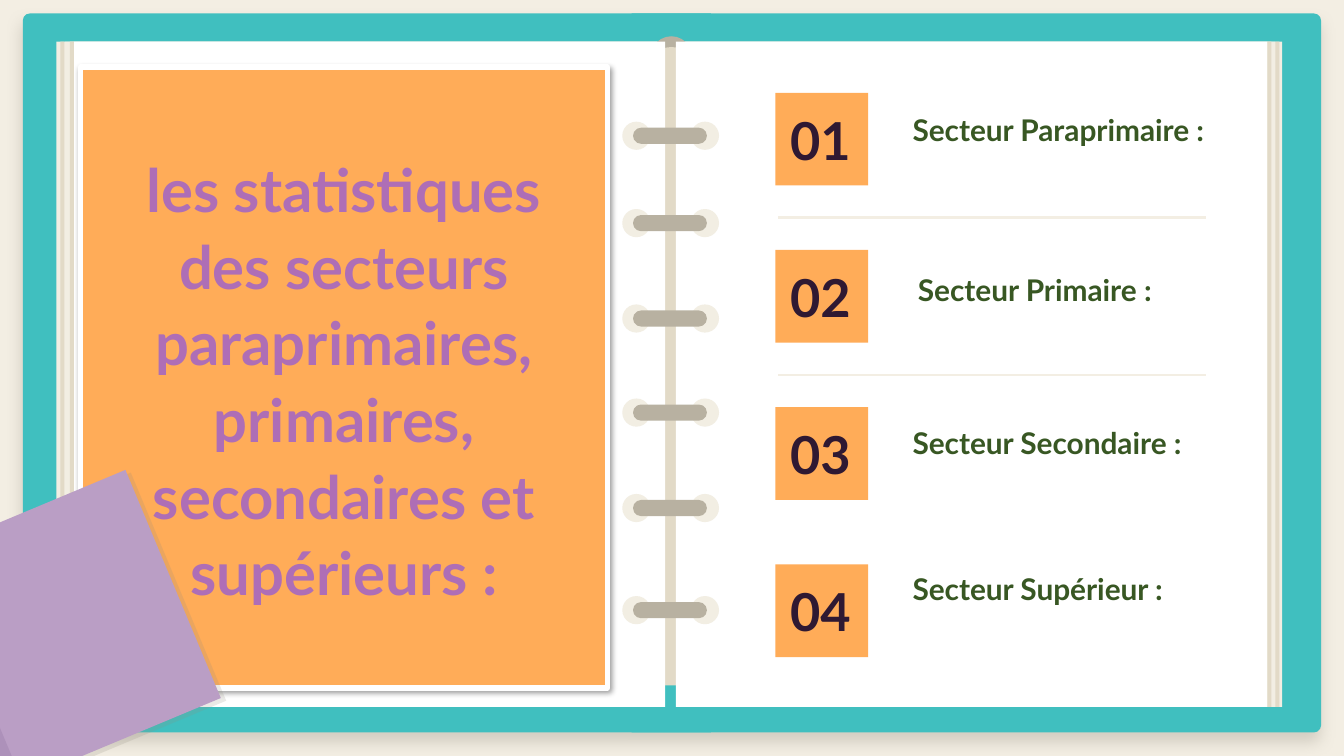
from dataclasses import dataclass

import pptx
import pptx.dml.color
import pptx.enum.shapes
import pptx.enum.text
import pptx.oxml
import pptx.oxml.ns
import pptx.util

Inches, Pt = pptx.util.Inches, pptx.util.Pt
SHAPE = pptx.enum.shapes.MSO_SHAPE
ALIGN = pptx.enum.text.PP_ALIGN
ANCHOR = pptx.enum.text.MSO_ANCHOR


@dataclass(frozen=True)
class Theme:
    font: str = "Lato"
    title_size: int = 32
    number_size: int = 28
    label_size: int = 16
    background: str = "F3EEE3"
    cover: str = "40BFBF"
    page: str = "FFFFFF"
    page_edge: str = "F2EEE3"
    spine: str = "E2DAC7"
    ring: str = "B8B1A1"
    shade: str = "918C7F"
    accent: str = "FFAC58"
    title: str = "AE6EB6"
    number: str = "2F1932"
    label: str = "385723"
    note: str = "BA9EC5"
    note_strip: str = "AD91BA"


THEME = Theme()

TITLE = ("les statistiques des secteurs paraprimaires, primaires, "
         "secondaires et supérieurs :")
# label, (left, top, width), line spacing
SECTORS = [
    ("Secteur Paraprimaire :", (6.69, 0.73, 2.63), 1.0),
    ("Secteur Primaire :", (6.73, 1.90, 2.24), 1.07),
    ("Secteur Secondaire :", (6.69, 3.04, 2.84), 1.07),
    ("Secteur Supérieur :", (6.69, 4.13, 2.24), 1.07),
]
RULES_AFTER = (0, 1)

PAGE_TOP, PAGE_HEIGHT = 0.31, 4.95
UNDER_PAGES = [(0.42, 4.47), (0.48, 4.42), (5.09, 4.45), (5.09, 4.40)]
TOP_PAGES = [(5.03, 4.40), (0.55, 4.40)]
PAGE_LINES = [0.45, 0.52, 9.49, 9.43]
RING_CENTERS = [1.01, 1.66, 2.37, 3.07, 3.78, 4.54]
HOLE_SIZE, HOLE_LEFTS = 0.21, (4.63, 5.14)

SQUARE_LEFT, SQUARE_TOP, SQUARE_SIZE, ROW_PITCH = 5.77, 0.69, 0.69, 1.17
NUMBER_LEFT, NUMBER_OFFSET, NUMBER_WIDTH, NUMBER_HEIGHT = 5.72, 0.09, 0.77, 0.51
RULE_LEFT, RULE_RIGHT, RULE_OFFSET = 5.79, 8.97, 0.93
LABEL_HEIGHT = 0.46
NOTE_ANGLE, NOTE_SIDE = -22.7, 1.84

presentation = pptx.Presentation()
presentation.slide_width = Inches(10)
presentation.slide_height = Inches(10) * 9 // 16
comparison_layout = presentation.slide_layouts[4]
slide = presentation.slides.add_slide(comparison_layout)


def rgb(color):
    return pptx.dml.color.RGBColor.from_string(color)


def add_element(parent, xml):
    namespace = pptx.oxml.ns.nsdecls("a")
    parent.append(pptx.oxml.parse_xml(xml.replace(">", f" {namespace}>", 1)))


def add_shadow(shape, color, alpha, blur, distance, angle):
    """Shadow with blur and distance in points, alpha in percent."""
    add_element(shape.element.spPr,
                f'<a:effectLst><a:outerShdw blurRad="{Pt(blur)}" '
                f'dist="{Pt(distance)}" dir="{angle * 60000}" algn="tl" '
                f'rotWithShape="0"><a:srgbClr val="{color}">'
                f'<a:alpha val="{alpha * 1000}"/></a:srgbClr>'
                f'</a:outerShdw></a:effectLst>')


def add_block(left, top, width, height, color, kind=SHAPE.RECTANGLE, shadow=None):
    shape = slide.shapes.add_shape(
        kind, Inches(left), Inches(top), Inches(width), Inches(height))
    shape.fill.solid()
    shape.fill.fore_color.rgb = rgb(color)
    shape.line.fill.background()
    if shadow:
        add_shadow(shape, *shadow)
    else:
        shape.shadow.inherit = False
    return shape


def place(placeholder, left, top, width, height):
    """Position a placeholder and bring it in front of what is already drawn."""
    placeholder.left, placeholder.top = Inches(left), Inches(top)
    placeholder.width, placeholder.height = Inches(width), Inches(height)
    slide.shapes.element.append(placeholder.element)


def write(shape, text, size, color, align, anchor, line_spacing=1.0):
    frame = shape.text_frame
    frame.word_wrap = True
    frame.auto_size = pptx.enum.text.MSO_AUTO_SIZE.NONE
    frame.vertical_anchor = anchor
    frame.margin_left = frame.margin_right = Inches(0.1)
    frame.margin_top = frame.margin_bottom = Inches(0.1)
    frame.text = text
    paragraph = frame.paragraphs[0]
    properties = paragraph._p.get_or_add_pPr()
    properties.set("marL", "0")
    properties.set("indent", "0")
    add_element(properties, "<a:buNone></a:buNone>")
    paragraph.alignment = align
    paragraph.line_spacing = line_spacing
    paragraph.space_before = Pt(0)
    paragraph.space_after = Pt(8 if line_spacing > 1 else 0)
    font = paragraph.font
    font.name, font.size, font.bold = THEME.font, Pt(size), True
    font.color.rgb = rgb(color)


def draw_notebook():
    cover = add_block(0.17, 0.1, 9.66, 5.35, THEME.cover, SHAPE.ROUNDED_RECTANGLE,
                      shadow=(THEME.shade, 32, 7.9, 5.2, 90))
    cover.adjustments[0] = 0.01
    add_block(4.7, 0.1, 0.59, 5.35, THEME.cover)
    for left, width in UNDER_PAGES:
        add_block(left, PAGE_TOP, width, PAGE_HEIGHT, THEME.page_edge)
    add_block(4.92, 0.52, 0.13, 4.58, THEME.spine)
    add_block(4.84, 0.27, 0.31, 0.31, THEME.ring, SHAPE.OVAL)
    add_block(4.84, 0.35, 0.31, 0.27, THEME.spine, SHAPE.OVAL)
    for left, width in TOP_PAGES:
        add_block(left, PAGE_TOP, width, PAGE_HEIGHT, THEME.page)
    for center in RING_CENTERS:
        for left in HOLE_LEFTS:
            add_block(left, center - HOLE_SIZE / 2, HOLE_SIZE, HOLE_SIZE,
                      THEME.page_edge, SHAPE.OVAL)
        ring = add_block(4.71, center - 0.06, 0.55, 0.12, THEME.ring,
                         SHAPE.ROUNDED_RECTANGLE)
        ring.adjustments[0] = 0.5
    for left in PAGE_LINES:
        add_block(left, PAGE_TOP, 0.03, PAGE_HEIGHT, THEME.spine)


def draw_sectors():
    labels = [shape for shape in slide.placeholders if shape != slide.shapes.title]
    for row, (label, sector) in enumerate(zip(labels, SECTORS)):
        text, (left, top, width), line_spacing = sector
        square_top = SQUARE_TOP + row * ROW_PITCH
        add_block(SQUARE_LEFT, square_top, SQUARE_SIZE, SQUARE_SIZE, THEME.accent)
        place(label, left, top, width, LABEL_HEIGHT)
        write(label, text, THEME.label_size, THEME.label, ALIGN.LEFT, ANCHOR.TOP,
              line_spacing)
        number = slide.shapes.add_textbox(
            Inches(NUMBER_LEFT), Inches(square_top + NUMBER_OFFSET),
            Inches(NUMBER_WIDTH), Inches(NUMBER_HEIGHT))
        write(number, f"{row + 1:02}", THEME.number_size, THEME.number,
              ALIGN.CENTER, ANCHOR.MIDDLE)
        if row in RULES_AFTER:
            y = Inches(square_top + RULE_OFFSET)
            rule = slide.shapes.add_connector(
                pptx.enum.shapes.MSO_CONNECTOR.STRAIGHT,
                Inches(RULE_LEFT), y, Inches(RULE_RIGHT), y)
            rule.line.color.rgb = rgb(THEME.background)
            rule.line.width = Pt(1.5)
            add_element(rule.element.spPr, "<a:effectLst></a:effectLst>")


def draw_title_card():
    card = slide.shapes.title
    place(card, 0.6, 0.5, 3.92, 4.62)
    card.fill.solid()
    card.fill.fore_color.rgb = rgb(THEME.accent)
    card.line.color.rgb = rgb(THEME.page)
    card.line.width = Pt(3)
    add_shadow(card, "000000", 38, 3, 1.5, 60)
    write(card, TITLE, THEME.title_size, THEME.title, ALIGN.CENTER, ANCHOR.MIDDLE,
          line_spacing=1.07)


def draw_sticky_note():
    # center x, center y, width, color
    layers = [(0.48, 4.72, NOTE_SIDE, THEME.shade),
              (0.44, 4.7, NOTE_SIDE, THEME.note),
              (-0.3, 5.01, 0.24, THEME.note_strip)]
    for x, y, width, color in layers:
        layer = add_block(x - width / 2, y - NOTE_SIDE / 2, width, NOTE_SIDE, color)
        layer.rotation = NOTE_ANGLE
        if color == THEME.shade:
            fill_color = layer.element.spPr.find(".//" + pptx.oxml.ns.qn("a:srgbClr"))
            add_element(fill_color, '<a:alpha val="19000"></a:alpha>')


slide.background.fill.solid()
slide.background.fill.fore_color.rgb = rgb(THEME.background)
draw_notebook()
draw_sectors()
draw_title_card()
draw_sticky_note()
presentation.save("out.pptx")
